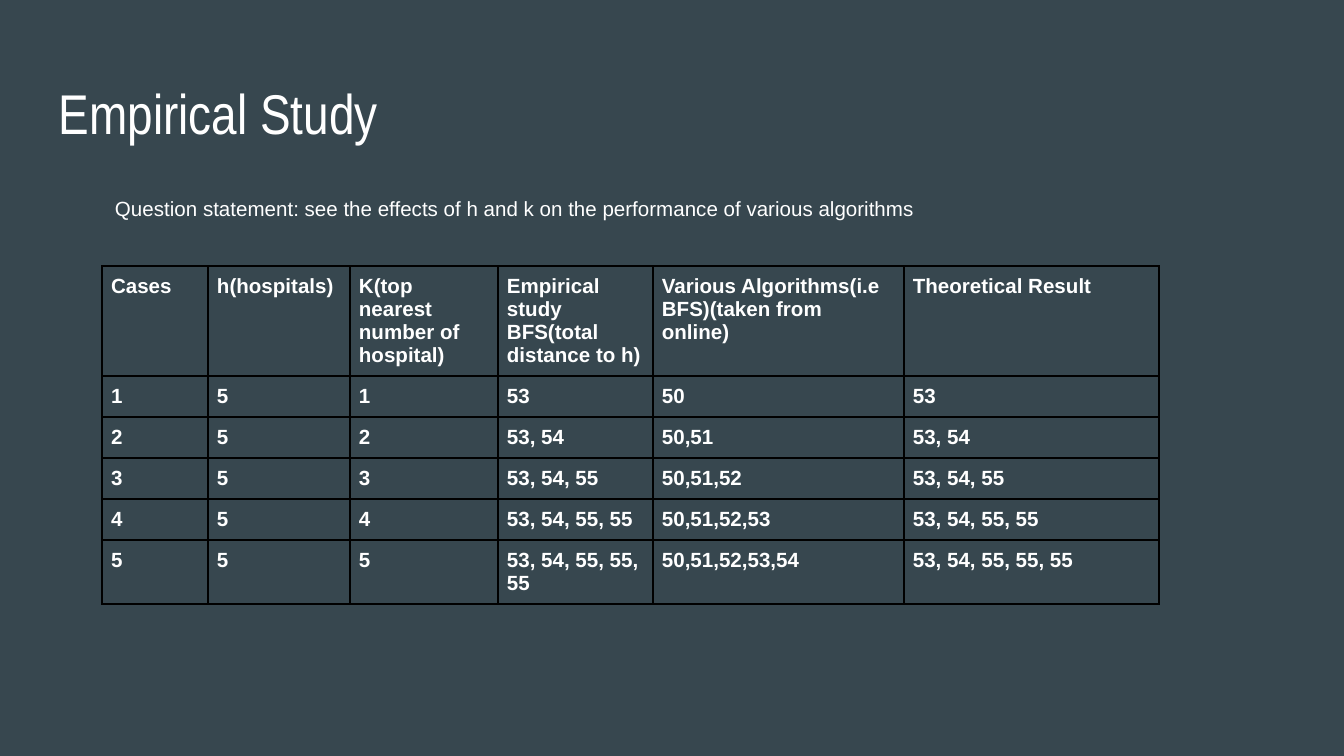
"""Build the Empirical Study slide with its table of hospital search results."""
from lxml.etree import SubElement
from pptx import Presentation
from pptx.dml.color import RGBColor
from pptx.enum.text import MSO_ANCHOR as Anchor, MSO_AUTO_SIZE as AutoSize, PP_ALIGN as Align
from pptx.oxml.ns import qn
from pptx.util import Pt

PX = 6804
WHITE = "FFFFFF"
COLUMN_WIDTHS = [106, 142, 148, 155, 251, 255]
ROW_HEIGHTS = [110, 41, 41, 41, 41, 64]
HEADINGS = [
    "Cases",
    "h(hospitals)",
    "K(top nearest number of hospital)",
    "Empirical study BFS(total distance to h)",
    "Various Algorithms(i.e BFS)(taken from online)",
    "Theoretical Result",
]
DISTANCES = ["53", "54", "55", "55", "55"]
ONLINE_RESULTS = ["50", "51", "52", "53", "54"]


def color(value):
    return RGBColor.from_string(value)


def write(frame, text, size, font="Arial", bold=False, inset=13):
    frame.word_wrap = True
    frame.margin_left = frame.margin_right = inset * PX
    frame.margin_top = frame.margin_bottom = inset * PX
    para = frame.paragraphs[0]
    para.text = text
    para.alignment = Align.LEFT
    para.font.size = Pt(size)
    para.font.name = font
    para.font.bold = bold
    para.font.color.rgb = color(WHITE)
    return para


deck = Presentation()
deck.slide_width, deck.slide_height = 1344 * PX, 756 * PX
page = deck.slides.add_slide(deck.slide_layouts[5])
page.background.fill.solid()
page.background.fill.fore_color.rgb = color("37474F")

title = page.shapes.title
title.left, title.top, title.width, title.height = 46 * PX, 66 * PX, 1252 * PX, 85 * PX
title.text_frame.vertical_anchor = Anchor.TOP
title.text_frame.auto_size = AutoSize.NONE
write(title.text_frame, "Empirical Study", 30, "Arial Narrow")

rows = [HEADINGS]
for case in range(1, 6):
    found = ", ".join(DISTANCES[:case])
    rows.append([str(case), "5", str(case), found, ",".join(ONLINE_RESULTS[:case]), found])

table = page.shapes.add_table(
    len(rows), len(HEADINGS), 102 * PX, 266 * PX, sum(COLUMN_WIDTHS) * PX, sum(ROW_HEIGHTS) * PX
).table
table.first_row = table.horz_banding = False
for column, width in zip(table.columns, COLUMN_WIDTHS):
    column.width = width * PX
for row, height, texts in zip(table.rows, ROW_HEIGHTS, rows):
    row.height = height * PX
    for cell, text in zip(row.cells, texts):
        write(cell.text_frame, text, 11, bold=True)
        cell.margin_left = cell.margin_right = 9 * PX
        cell.margin_top = cell.margin_bottom = 9 * PX
        properties = cell._tc.get_or_add_tcPr()
        for side in ("a:lnL", "a:lnR", "a:lnT", "a:lnB"):
            border = SubElement(properties, qn(side), w=str(Pt(1)))
            fill = SubElement(border, qn("a:solidFill"))
            SubElement(fill, qn("a:srgbClr"), val="000000")
        cell.fill.background()

question = page.shapes.add_textbox(102 * PX, 179 * PX, 855 * PX, 58 * PX)
statement = "Question statement: see the effects of h and k on the performance of various algorithms"
write(question.text_frame, statement, 11).line_spacing = 1.15

deck.save("out.pptx")
